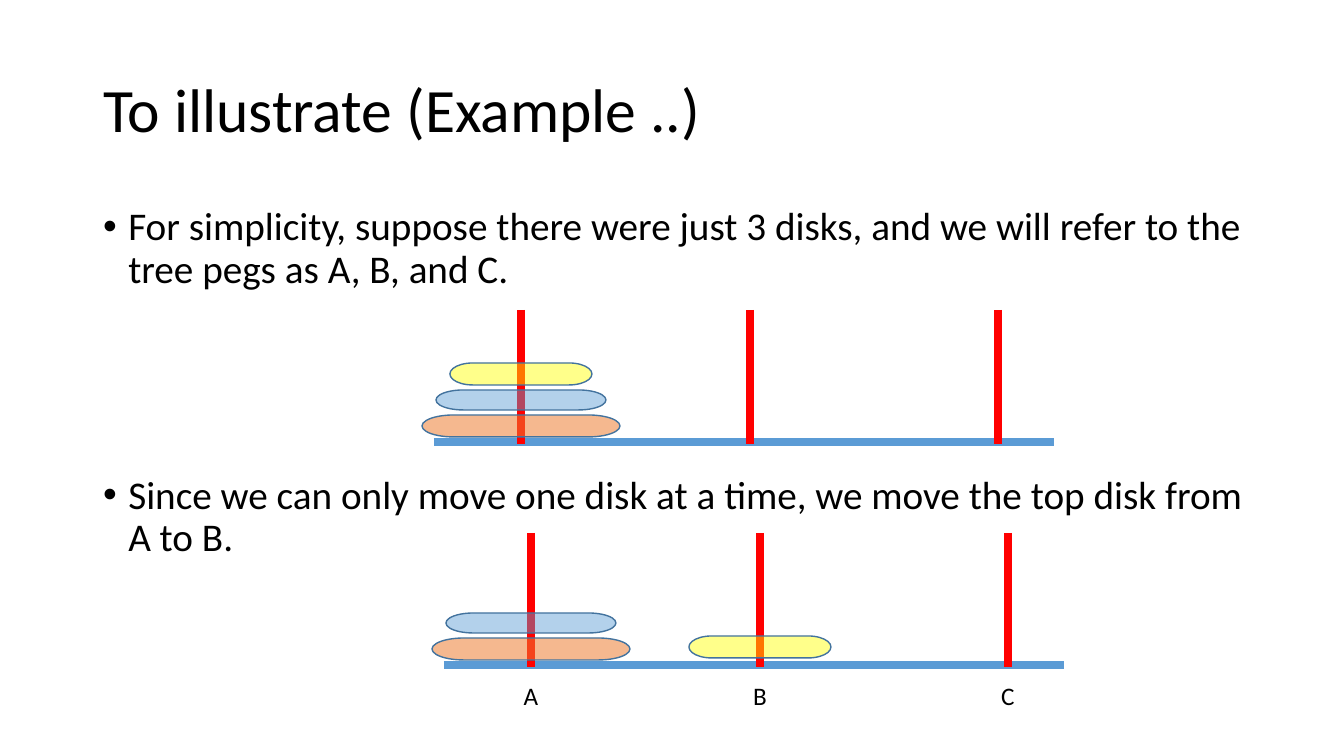
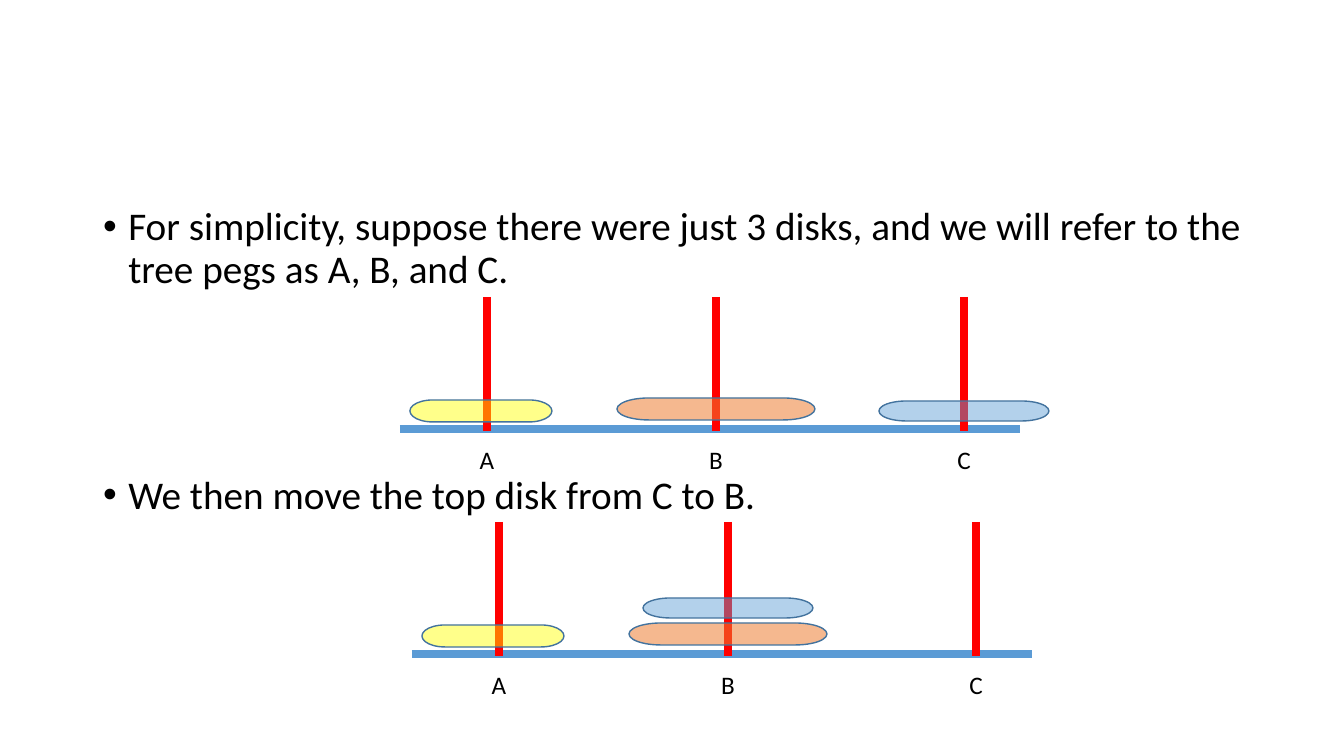
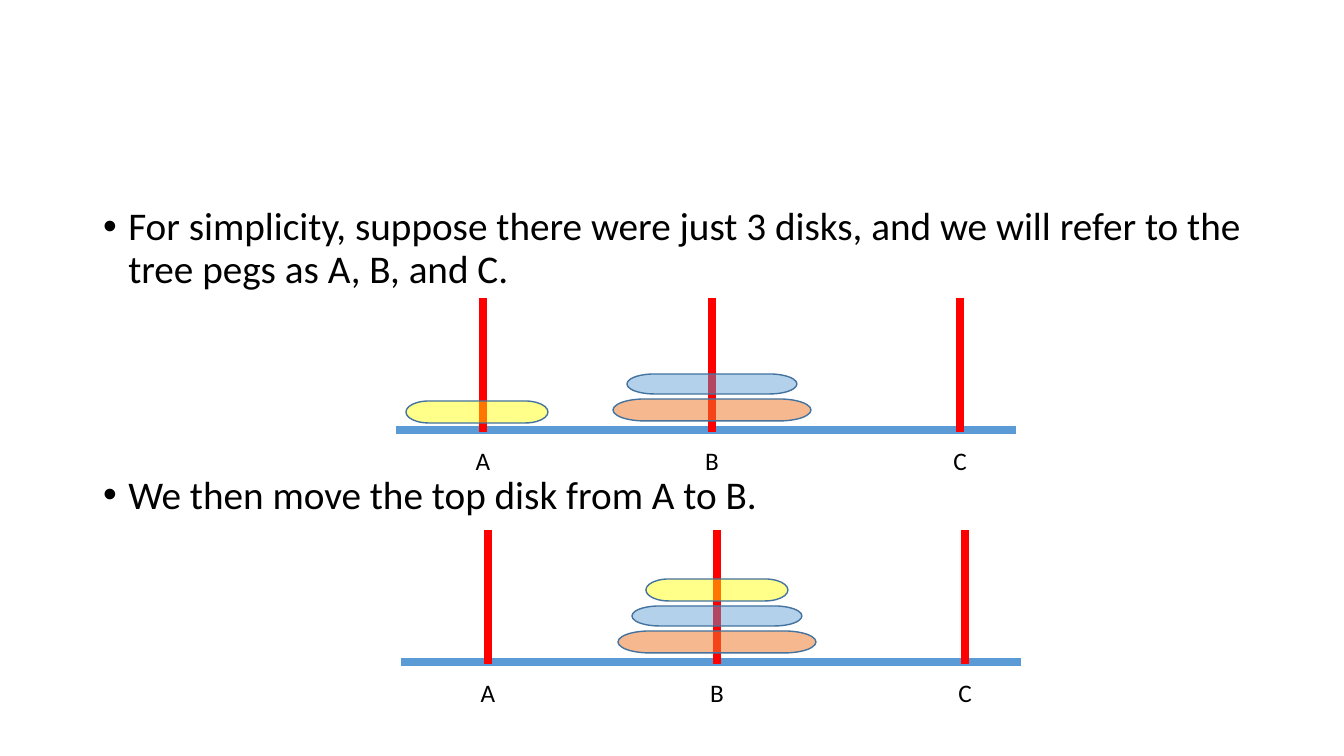
import pptx
import pptx.util
from lxml import etree
from pptx.dml.color import RGBColor
from pptx.enum.shapes import MSO_CONNECTOR, MSO_SHAPE
from pptx.enum.text import MSO_ANCHOR, MSO_AUTO_SIZE, PP_ALIGN
from pptx.oxml.ns import qn

# Shared style
WIDTH, HEIGHT = 1344, 756
EMU_PER_PX = 12192000 / WIDTH
FONT = "Calibri"
BLACK = RGBColor(0x00, 0x00, 0x00)
RED = RGBColor(0xFF, 0x00, 0x00)
BLUE = RGBColor(0x5B, 0x9B, 0xD5)
ORANGE = RGBColor(0xED, 0x7D, 0x31)
YELLOW = RGBColor(0xFF, 0xFF, 0x00)
OUTLINE = RGBColor(0x43, 0x73, 0x9E)

# Tower geometry: peg offsets from the left end of the base
BASE_WIDTH = 620
PEG_OFFSETS = {"A": 87, "B": 316, "C": 564}
PEG_RISE, PEG_DROP = 132, 2
DISK_GAP = 5
LABEL_WIDTH, LABEL_HEIGHT, LABEL_DROP = 36, 40, 10

# Disks: width, height, colour, opacity in percent
LARGE = (198, 22, ORANGE, 54)
MEDIUM = (170, 20, BLUE, 46)
SMALL = (142, 22, YELLOW, 46)

INTRO = ("For simplicity, suppose there were just 3 disks, and we will refer "
         "to the tree pegs as A, B, and C.")


def px(length):
    return pptx.util.Emu(round(length * EMU_PER_PX))


class Deck:
    def __init__(self):
        self.prs = pptx.Presentation()
        self.prs.slide_width, self.prs.slide_height = px(WIDTH), px(HEIGHT)
        self.slide = None

    def new_slide(self):
        self.slide = self.prs.slides.add_slide(self.prs.slide_layouts[1])

    def place(self, holder, left, top, width, height, anchor):
        holder.left, holder.top = px(left), px(top)
        holder.width, holder.height = px(width), px(height)
        frame = holder.text_frame
        frame.word_wrap = True
        frame.auto_size = MSO_AUTO_SIZE.NONE
        frame.vertical_anchor = anchor
        return frame

    def add_text(self, paragraph, text, size, align=PP_ALIGN.LEFT):
        paragraph.alignment = align
        run = paragraph.add_run()
        run.text = text
        run.font.name = FONT
        run.font.size = pptx.util.Pt(size)
        run.font.color.rgb = BLACK

    def title(self, text):
        holder = self.slide.shapes.title
        if not text:
            holder.element.getparent().remove(holder.element)
            return
        frame = self.place(holder, 93, 40, 1159, 146, MSO_ANCHOR.MIDDLE)
        frame.paragraphs[0].line_spacing = 0.9
        self.add_text(frame.paragraphs[0], text, 44)

    def bullets(self, items):
        """Each item is its text and the space before it in points."""
        frame = self.place(self.slide.placeholders[1], 93, 202, 1159, 480,
                           MSO_ANCHOR.TOP)
        for index, (text, space) in enumerate(items):
            paragraph = frame.add_paragraph() if index else frame.paragraphs[0]
            paragraph.line_spacing = 0.9
            paragraph.space_before = pptx.util.Pt(space)
            self.add_text(paragraph, text, 28)
            indent = pptx.util.Inches(0.25)
            props = paragraph._p.get_or_add_pPr()
            props.set("marL", str(indent))
            props.set("indent", str(-indent))
            etree.SubElement(props, qn("a:buChar"), char="•")

    def bar(self, x1, y1, x2, y2, color):
        bar = self.slide.shapes.add_connector(
            MSO_CONNECTOR.STRAIGHT, px(x1), px(y1), px(x2), px(y2))
        bar.line.color.rgb = color
        bar.line.width = pptx.util.Pt(6)
        etree.SubElement(bar.element.spPr, qn("a:effectLst"))

    def disk(self, center, bottom, kind):
        width, height, color, opacity = kind
        disk = self.slide.shapes.add_shape(
            MSO_SHAPE.FLOWCHART_TERMINATOR, px(center - width // 2),
            px(bottom - height), px(width), px(height))
        disk.shadow.inherit = False
        disk.fill.solid()
        disk.fill.fore_color.rgb = color
        tint = disk.element.spPr.find(qn("a:solidFill"))[0]
        etree.SubElement(tint, qn("a:alpha"), val=str(opacity * 1000))
        disk.line.color.rgb = OUTLINE
        disk.line.width = pptx.util.Pt(1)

    def label(self, center, top, text):
        box = self.slide.shapes.add_textbox(
            px(center - LABEL_WIDTH // 2), px(top),
            px(LABEL_WIDTH), px(LABEL_HEIGHT))
        box.text_frame.word_wrap = False
        self.add_text(box.text_frame.paragraphs[0], text, 18, PP_ALIGN.CENTER)

    def towers(self, left, base, stacks, labelled=True):
        """Each stack is its peg, shift sideways, lift and disks from below."""
        pegs = {name: left + offset for name, offset in PEG_OFFSETS.items()}
        self.bar(left, base, left + BASE_WIDTH, base, BLUE)
        for center in pegs.values():
            self.bar(center, base - PEG_RISE, center, base + PEG_DROP, RED)
        for peg, shift, lift, disks in stacks:
            bottom = base - lift
            for kind in disks:
                self.disk(pegs[peg] + shift, bottom, kind)
                bottom -= kind[1] + DISK_GAP
        if labelled:
            for name, center in pegs.items():
                self.label(center, base + LABEL_DROP, name)


def main():
    deck = Deck()
    small_on_a = ("A", -6, 7, [SMALL])
    two_on_b = ("B", 0, 9, [LARGE, MEDIUM])

    # Title, second bullet, then left end, base height, stacks and labels
    steps = [
        ("To illustrate (Example ..)",
         "Since we can only move one disk at a time, we move the top disk "
         "from A to B.",
         [(434, 442, [("A", 0, 5, [LARGE, MEDIUM, SMALL])], False),
          (444, 665, [("A", 0, 5, [LARGE, MEDIUM]),
                      ("B", 0, 7, [SMALL])], True)]),
        (None, "We then move the top disk from C to B.",
         [(400, 429, [("B", 0, 9, [LARGE]), ("C", 0, 8, [MEDIUM]),
                      small_on_a], True),
          (412, 654, [two_on_b, small_on_a], True)]),
        (None, "We then move the top disk from A to B.",
         [(396, 430, [two_on_b, small_on_a], True),
          (401, 662, [("B", 0, 9, [LARGE, MEDIUM, SMALL])], True)]),
    ]
    for title, move, states in steps:
        deck.new_slide()
        deck.title(title)
        deck.bullets([(INTRO, 10), (move, 131)])
        for state in states:
            deck.towers(*state)

    deck.prs.save("out.pptx")


if __name__ == "__main__":
    main()
